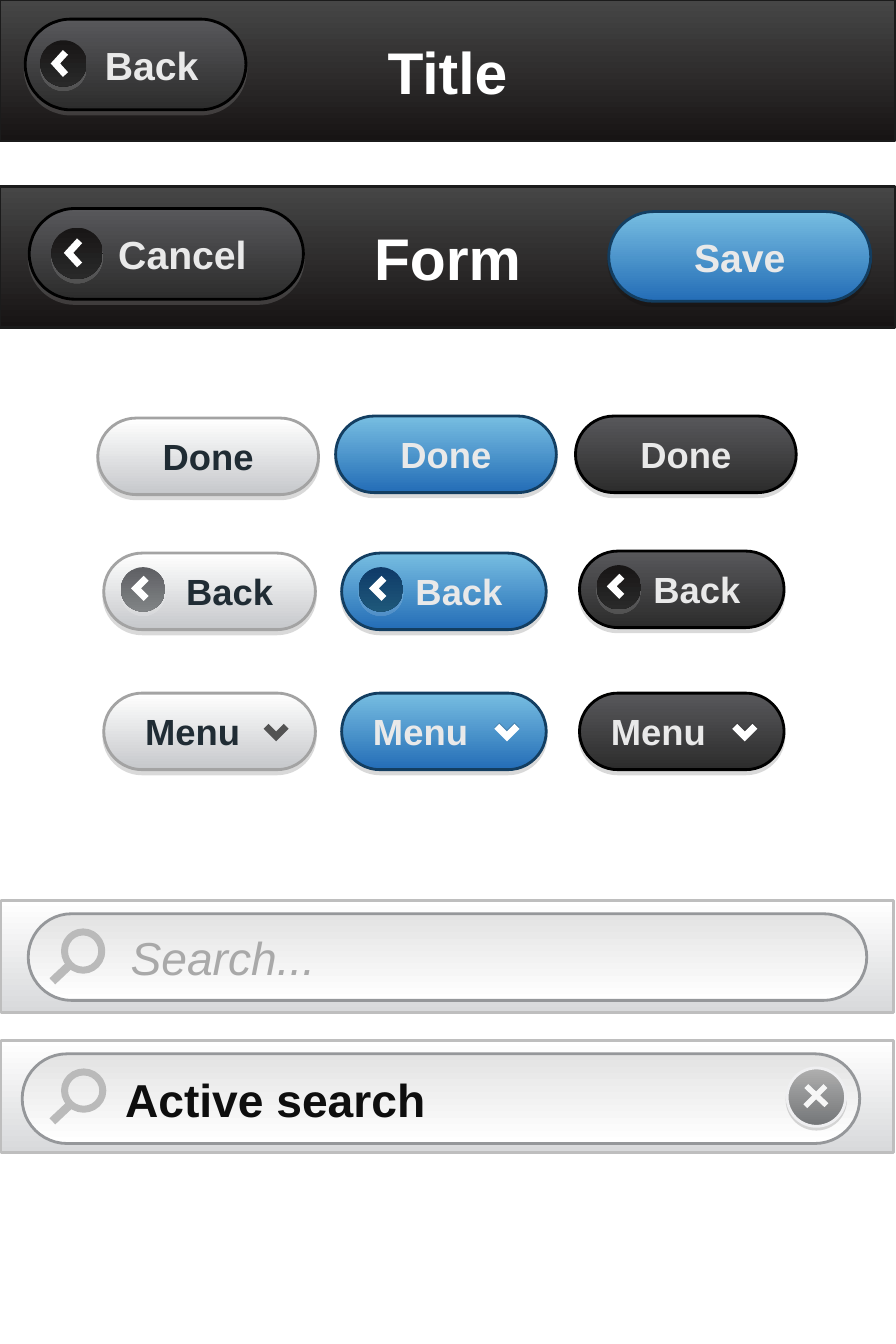
from lxml import etree
from pptx import Presentation
from pptx import util as u
from pptx.dml.color import RGBColor
from pptx.enum import shapes, text
from pptx.oxml import ns

PX = 9144  # EMU per px, 100 px to the inch
FONT = "Arial"

WHITE = RGBColor(0xFF, 0xFF, 0xFF)
BLACK = RGBColor(0x00, 0x00, 0x00)
LABEL_LIGHT = RGBColor(0xE9, 0xE9, 0xE9)
LABEL_DARK = RGBColor(0x20, 0x2C, 0x34)
ARROW_GREY = RGBColor(0x53, 0x53, 0x53)
BAR_TOP, BAR_BOTTOM = RGBColor(0x46, 0x46, 0x46), RGBColor(0x17, 0x14, 0x14)
BAR_LINE = RGBColor(0x1B, 0x1B, 0x1B)
PANEL_BOTTOM = RGBColor(0xD8, 0xD9, 0xDB)
PANEL_LINE = RGBColor(0xBE, 0xBE, 0xBE)
FIELD_TOP = RGBColor(0xE3, 0xE3, 0xE3)
FIELD_LINE = RGBColor(0x95, 0x97, 0x9A)
LENS = RGBColor(0xBA, 0xBA, 0xBA)
HINT = RGBColor(0xA9, 0xA9, 0xA9)
QUERY = RGBColor(0x0E, 0x0E, 0x0E)
CLEAR_TOP, CLEAR_BOTTOM = RGBColor(0xAF, 0xAF, 0xAF), RGBColor(0x73, 0x75, 0x77)
CLEAR_LINE = RGBColor(0xEF, 0xEF, 0xF1)
CROSS = RGBColor(0xF6, 0xF6, 0xF6)

# Button themes: gradients run from top to bottom
LIGHT = {"fill": (WHITE, RGBColor(0xC6, 0xC8, 0xCB)), "line": RGBColor(0xA3, 0xA3, 0xA3),
         "label": LABEL_DARK, "arrow": ARROW_GREY,
         "disc": (RGBColor(0x5E, 0x5F, 0x63), RGBColor(0x81, 0x84, 0x86))}
BLUE = {"fill": (RGBColor(0x77, 0xBE, 0xE1), RGBColor(0x24, 0x6D, 0xB7)),
        "line": RGBColor(0x13, 0x3E, 0x61), "label": LABEL_LIGHT, "arrow": WHITE,
        "disc": (RGBColor(0x0F, 0x3A, 0x68), RGBColor(0x1E, 0x58, 0x7A))}
DARK = {"fill": (RGBColor(0x58, 0x58, 0x5B), RGBColor(0x2C, 0x2C, 0x2C)), "line": BLACK,
        "label": LABEL_LIGHT, "arrow": WHITE,
        "disc": (RGBColor(0x18, 0x16, 0x16), RGBColor(0x29, 0x29, 0x29))}


def set_values(target, values):
    for name, value in values.items():
        setattr(target, name, value)


def set_line(shape, color, points):
    shape.line.color.rgb = color
    shape.line.width = u.Pt(points)


def set_gradient(shape, colors):
    shape.fill.gradient()
    shape.fill.gradient_angle = 270
    for stop, color in zip(shape.fill.gradient_stops, colors):
        stop.color.rgb = color


def set_shadow(shape, color=BLACK, points=3, degrees=90):
    """Give the shape a hard shadow at 15 % opacity."""
    shape.shadow.inherit = False
    effects = shape._element.spPr.find(ns.qn("a:effectLst"))
    shadow = etree.SubElement(effects, ns.qn("a:outerShdw"), blurRad="0",
                              dist=str(u.Pt(points)), dir=str(degrees * 60000),
                              algn="ctr", rotWithShape="0")
    tint = etree.SubElement(shadow, ns.qn("a:srgbClr"), val=str(color))
    etree.SubElement(tint, ns.qn("a:alpha"), val="15000")


def set_text(shape, words, color, size, indent=0, align=text.PP_ALIGN.CENTER,
             bold=True, italic=False):
    frame = shape.text_frame
    set_values(frame, {"margin_left": indent * PX, "margin_right": 0, "margin_top": 0,
                       "margin_bottom": 0, "word_wrap": True,
                       "auto_size": text.MSO_AUTO_SIZE.NONE,
                       "vertical_anchor": text.MSO_ANCHOR.MIDDLE})
    paragraph = frame.paragraphs[0]
    paragraph.alignment = align
    run = paragraph.add_run()
    run.text = words
    set_values(run.font, {"name": FONT, "size": u.Pt(size), "bold": bold, "italic": italic})
    run.font.color.rgb = color


def add_block(slide, kind, box, colors=None, line=None, points=2):
    shape = slide.shapes.add_shape(kind, *(length * PX for length in box))
    shape.shadow.inherit = False
    if kind == shapes.MSO_SHAPE.ROUNDED_RECTANGLE:
        shape.adjustments[0] = 0.5
    if colors:
        set_gradient(shape, colors)
    else:
        shape.fill.background()
    if line is None:
        shape.line.fill.background()
    else:
        set_line(shape, line, points)
    return shape


def add_stroke(slide, start, end, color, points):
    stroke = slide.shapes.add_connector(shapes.MSO_CONNECTOR.STRAIGHT,
                                        *(length * PX for length in start + end))
    set_line(stroke, color, points)
    etree.SubElement(stroke._element.spPr, ns.qn("a:effectLst"))


def add_chevron(slide, points, color):
    builder = slide.shapes.build_freeform(*points[0], scale=PX)
    builder.add_line_segments(points[1:], close=False)
    chevron = builder.convert_to_shape()
    chevron.fill.background()
    set_line(chevron, color, 5)
    etree.SubElement(chevron.line._get_or_add_ln(), ns.qn("a:miter"), lim="800000")
    chevron.shadow.inherit = False
    return chevron


def add_button(slide, box, theme, words, size=26, indent=0,
               align=text.PP_ALIGN.CENTER, shadow=BLACK):
    button = add_block(slide, shapes.MSO_SHAPE.ROUNDED_RECTANGLE, box,
                       theme["fill"], theme["line"])
    set_shadow(button, shadow)
    set_text(button, words, theme["label"], size, indent, align)


def add_back_disc(slide, left, top, size, theme):
    disc = add_block(slide, shapes.MSO_SHAPE.OVAL, (left, top, size, size), theme["disc"])
    set_shadow(disc, WHITE)
    x, y = left + round(size * 0.33), top + round(size * 0.26)
    width, half = round(size * 0.22), round(size * 0.23)
    add_chevron(slide, [(x + width, y), (x, y + half), (x + width, y + 2 * half)], WHITE)


def add_menu_arrow(slide, x, y, theme):
    arrow = add_chevron(slide, [(x, y), (x + 10, y + 10), (x + 20, y)], theme["arrow"])
    if theme is not LIGHT:
        set_shadow(arrow, points=1, degrees=270)


def add_search_bar(slide, top, field, lens, words, color, indent=89, **style):
    add_block(slide, shapes.MSO_SHAPE.RECTANGLE, (1, top, 886, 111),
              (WHITE, PANEL_BOTTOM), PANEL_LINE)
    box = add_block(slide, shapes.MSO_SHAPE.ROUNDED_RECTANGLE, field,
                    (FIELD_TOP, WHITE), FIELD_LINE)
    set_text(box, words, color, 33, indent, text.PP_ALIGN.LEFT, **style)
    # Magnifying glass
    add_stroke(slide, (52, top + 80), (70, top + 63), LENS, 6)
    add_block(slide, shapes.MSO_SHAPE.OVAL, lens, line=LENS, points=5)


def format_bar(bar, words):
    set_gradient(bar, (BAR_TOP, BAR_BOTTOM))
    set_line(bar, BAR_LINE, 2)
    set_text(bar, words, WHITE, 42)


def main():
    presentation = Presentation()
    set_values(presentation, {"slide_width": 889 * PX, "slide_height": 1334 * PX})
    slide = presentation.slides.add_slide(presentation.slide_layouts[5])

    # Header bars
    title = slide.shapes.title
    set_values(title, {"left": 0, "top": 0, "width": 888 * PX, "height": 140 * PX})
    format_bar(title, "Title")
    format_bar(add_block(slide, shapes.MSO_SHAPE.RECTANGLE, (0, 185, 888, 140)), "Form")
    add_button(slide, (25, 19, 219, 90), DARK, "Back", 28, 32, shadow=WHITE)
    add_back_disc(slide, 40, 40, 46, DARK)
    add_button(slide, (29, 207, 272, 90), DARK, "Cancel", 28, 32, shadow=WHITE)
    add_back_disc(slide, 51, 226, 51, DARK)
    add_button(slide, (604, 210, 260, 89), BLUE, "Save", 28)

    # Button grid: theme, Done left and top, Back top, Back and Menu left, width, indents
    columns = [(LIGHT, 97, 415, 549, 103, 210, 40, 30),
               (BLUE, 333, 413, 549, 339, 203, 30, 20),
               (DARK, 571, 413, 547, 575, 203, 30, 20)]
    for theme, done_left, done_top, back_top, left, width, back_indent, menu_indent in columns:
        add_button(slide, (done_left, done_top, 219, 76), theme, "Done")
        add_button(slide, (left, back_top, width, 76), theme, "Back", indent=back_indent)
        add_back_disc(slide, left + 17, back_top + 14, 44, theme)
        add_button(slide, (left, 688, width, 76), theme, "Menu", indent=menu_indent,
                   align=text.PP_ALIGN.LEFT)
        add_menu_arrow(slide, left + width - 49, 721, theme)

    # Search bars
    add_search_bar(slide, 894, (28, 907, 832, 86), (64, 925, 37, 38), "Search...", HINT,
                   bold=False, italic=True)
    add_search_bar(slide, 1033, (22, 1046, 831, 89), (64, 1064, 38, 37), "Active search", QUERY)

    # Clear button
    clear = add_block(slide, shapes.MSO_SHAPE.OVAL, (781, 1060, 58, 58),
                      (CLEAR_TOP, CLEAR_BOTTOM), CLEAR_LINE)
    set_shadow(clear, points=2)
    add_stroke(slide, (819, 1078), (799, 1098), CROSS, 4)
    add_stroke(slide, (800, 1078), (820, 1097), CROSS, 4)

    presentation.save("out.pptx")


if __name__ == "__main__":
    main()
